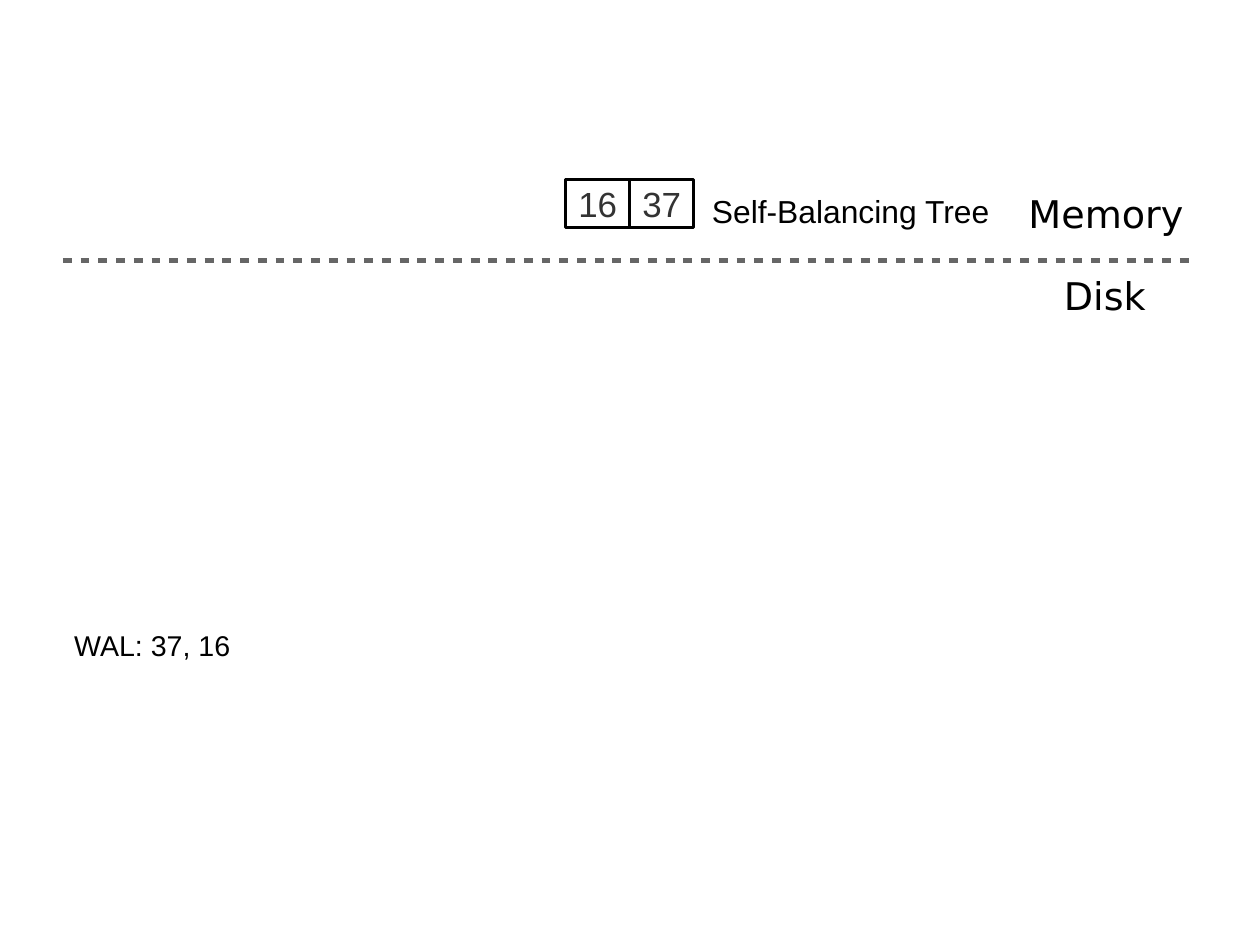
import pptx
import pptx.util
import pptx.dml.color
import pptx.enum.shapes
import pptx.enum.text
from lxml import etree
from pptx.oxml.ns import qn

Inches = pptx.util.Inches
Pt = pptx.util.Pt
PP_ALIGN = pptx.enum.text.PP_ALIGN
MSO_ANCHOR = pptx.enum.text.MSO_ANCHOR

COLORS = {"ink": "000000", "key": "333333", "divider": "666666", "paper": "FFFFFF"}
CM_PER_INCH = 2.54


def rgb(name):
    return pptx.dml.color.RGBColor.from_string(COLORS[name])


def write(shape, text, *, size, font="Arial", color="ink", align=PP_ALIGN.LEFT,
          anchor=MSO_ANCHOR.TOP, wrap=False, margins=(0.1, 0.05), grow=True):
    frame = shape.text_frame
    frame.word_wrap = wrap
    frame.vertical_anchor = anchor
    frame.margin_left = frame.margin_right = Inches(margins[0])
    frame.margin_top = frame.margin_bottom = Inches(margins[1])
    if grow:
        frame.auto_size = pptx.enum.text.MSO_AUTO_SIZE.SHAPE_TO_FIT_TEXT
    paragraph = frame.paragraphs[0]
    paragraph.alignment = align
    run = paragraph.add_run()
    run.text = text
    run.font.size = Pt(size)
    run.font.name = font
    run.font.color.rgb = rgb(color)


def add_label(slide, box, text, **style):
    write(slide.shapes.add_textbox(*map(Inches, box)), text, **style)


def add_tree_node(slide, box, keys):
    """Row of equal key cells filling the box."""
    left, top, width, height = box
    cell_width = width / len(keys)
    for i, key in enumerate(keys):
        cell = slide.shapes.add_shape(
            pptx.enum.shapes.MSO_SHAPE.RECTANGLE, Inches(left + i * cell_width),
            Inches(top), Inches(cell_width), Inches(height))
        cell.shadow.inherit = False
        cell.fill.background()
        cell.line.color.rgb = rgb("ink")
        cell.line.width = Pt(1.7)
        write(cell, key, size=22, color="key", align=PP_ALIGN.CENTER,
              anchor=MSO_ANCHOR.MIDDLE, margins=(0.11, 0.06), grow=False)


def add_divider(slide, left, right, y):
    divider = slide.shapes.add_connector(
        pptx.enum.shapes.MSO_CONNECTOR.STRAIGHT,
        Inches(left), Inches(y), Inches(right), Inches(y))
    divider.line.color.rgb = rgb("divider")
    divider.line.width = Pt(2.83)
    properties = divider.line._get_or_add_ln()
    dashes = etree.SubElement(properties, qn("a:custDash"))
    etree.SubElement(dashes, qn("a:ds"), d="197000", sp="197000")
    etree.SubElement(divider._element.spPr, qn("a:effectLst"))


def add_memory(slide, box):
    left, top = box[:2]
    add_tree_node(slide, (left + 4.4, top, 1.12, 0.42), ["16", "37"])
    add_label(slide, (left + 8.35, top + 0.05, 1.7, 0.67), "Memory",
              size=24, font="DejaVu Sans")
    add_label(slide, (left + 5.58, top + 0.06, 2.89, 0.55), "Self-Balancing Tree", size=20)


def add_disk(slide, box):
    left, top, width, _ = box
    add_divider(slide, left, left + width, top)
    add_label(slide, (left + 8.66, top + 0.05, 1.01, 0.67), "Disk",
              size=24, font="DejaVu Sans")
    add_label(slide, (left, top + 3.16, 9.45, 0.51), "WAL: 37, 16", size=18, wrap=True)


def main():
    deck = pptx.Presentation()
    # Page of 28 by 21 cm
    deck.slide_width = Inches(28 / CM_PER_INCH)
    deck.slide_height = Inches(21 / CM_PER_INCH)
    slide = deck.slides.add_slide(deck.slide_layouts[6])
    slide.background.fill.solid()
    slide.background.fill.fore_color.rgb = rgb("paper")

    # Memory above the dashed divider, disk below it
    add_memory(slide, (0.55, 1.57, 9.92, 0.71))
    add_disk(slide, (0.55, 2.28, 9.92, 3.67))
    deck.save("out.pptx")


if __name__ == "__main__":
    main()
